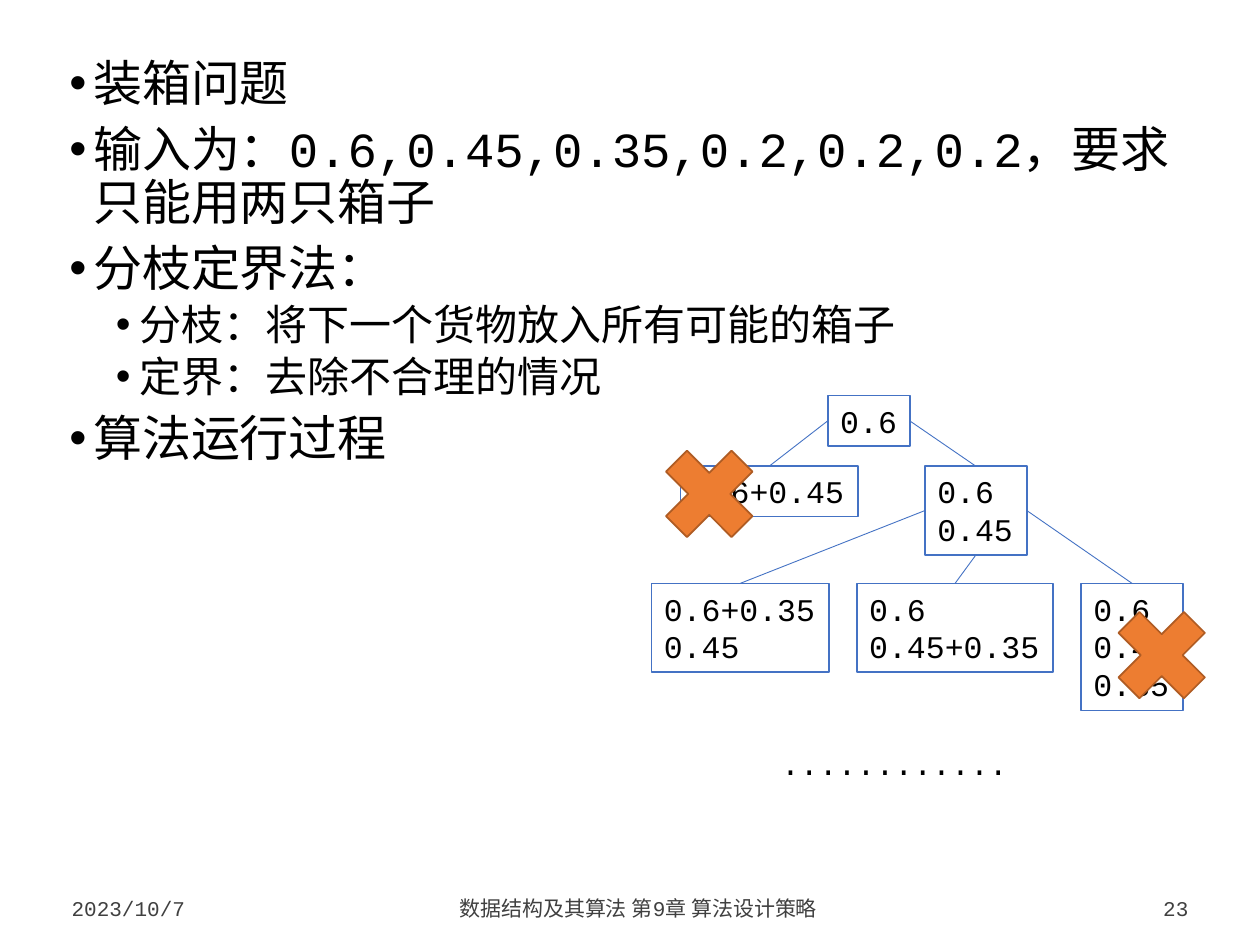
from pptx import Presentation
from pptx.dml.color import RGBColor
from pptx.enum.shapes import MSO_CONNECTOR, MSO_SHAPE
from pptx.enum.text import MSO_ANCHOR, MSO_AUTO_SIZE, PP_ALIGN
from pptx.oxml.ns import qn
from pptx.util import Inches, Pt
from lxml.etree import SubElement


def color(code):
    return RGBColor.from_string(code)


def write(para, text, size, code="000000"):
    para.text = text
    para.font.name = "Courier New"
    para.font.size = Pt(size)
    para.font.color.rgb = color(code)


deck = Presentation()
deck.slide_width, deck.slide_height = Inches(10), Inches(7.5)
slide = deck.slides.add_slide(deck.slide_layouts[6])
shapes = slide.shapes

# Bulleted text
points = [
    (0, "装箱问题"),
    (0, "输入为：0.6,0.45,0.35,0.2,0.2,0.2，要求只能用两只箱子"),
    (0, "分枝定界法："),
    (1, "分枝：将下一个货物放入所有可能的箱子"),
    (1, "定界：去除不合理的情况"),
    (0, "算法运行过程"),
]
body = shapes.add_textbox(Inches(0.47), Inches(0.39), Inches(9.06), Inches(6.42))
frame = body.text_frame
frame.word_wrap = True
frame.margin_left = frame.margin_right = Inches(0.08)
frame.margin_top = frame.margin_bottom = Inches(0.08)
for i, (level, text) in enumerate(points):
    para = frame.add_paragraph() if i else frame.paragraphs[0]
    write(para, text, 24 if level else 28)
    para.level = level
    para.line_spacing = 0.9
    para.space_before = Pt(3.8 if level else 7.5)
    props = para._p.get_or_add_pPr()
    props.set("marL", str(Inches(0.56 if level else 0.19)))
    props.set("indent", str(Inches(-0.19)))
    SubElement(props, qn("a:buFont"), typeface="Arial")
    SubElement(props, qn("a:buChar"), char="•")

# Footer
for left, width, align, text in [
    (0.47, 1.31, PP_ALIGN.LEFT, "2023/10/7"),
    (1.9, 6.33, PP_ALIGN.CENTER, "数据结构及其算法 第9章 算法设计策略"),
    (8.35, 1.18, PP_ALIGN.RIGHT, "23"),
]:
    foot = shapes.add_textbox(Inches(left), Inches(6.97), Inches(width), Inches(0.39))
    frame = foot.text_frame
    frame.word_wrap = True
    frame.vertical_anchor = MSO_ANCHOR.BOTTOM
    write(frame.paragraphs[0], text, 12, "404040")
    frame.paragraphs[0].alignment = align

# Search tree nodes, and the dots below them
nodes = []
for left, top, width, bins in [
    (6.57, 3.14, 0.65, ["0.6"]),
    (5.4, 3.7, 1.41, ["0.6+0.45"]),
    (7.34, 3.7, 0.81, ["0.6", "0.45"]),
    (5.17, 4.63, 1.41, ["0.6+0.35", "0.45"]),
    (6.8, 4.63, 1.56, ["0.6", "0.45+0.35"]),
    (8.58, 4.63, 0.81, ["0.6", "0.45", "0.35"]),
    (6.1, 5.86, 2.01, ["............"]),
]:
    height = 0.4 + 0.305 * (len(bins) - 1)
    node = shapes.add_textbox(Inches(left), Inches(top), Inches(width), Inches(height))
    frame = node.text_frame
    frame.word_wrap = False
    frame.auto_size = MSO_AUTO_SIZE.SHAPE_TO_FIT_TEXT
    for i, text in enumerate(bins):
        write(frame.add_paragraph() if i else frame.paragraphs[0], text, 18)
    nodes.append(node)
for node in nodes[:-1]:
    node.fill.solid()
    node.fill.fore_color.rgb = color("FFFFFF")
    node.line.color.rgb = color("4472C4")
    node.line.width = Pt(1)

# Branches: parent, side of the parent, child
LEFT, BOTTOM, RIGHT = 1, 2, 3
for start, side, end in [
    (0, LEFT, 1), (0, RIGHT, 2), (2, LEFT, 3), (2, BOTTOM, 4), (2, RIGHT, 5),
]:
    branch = shapes.add_connector(MSO_CONNECTOR.STRAIGHT, 0, 0, 0, 0)
    branch.begin_connect(nodes[start], side)
    branch.end_connect(nodes[end], 0)
    branch.line.color.rgb = color("4472C4")
    branch.line.width = Pt(0.5)
    SubElement(branch._element.spPr, qn("a:effectLst"))

# Crosses on the pruned nodes
for left, top in [(5.13, 3.42), (8.72, 4.7)]:
    cross = shapes.add_shape(MSO_SHAPE.MATH_MULTIPLY, Inches(left), Inches(top),
                             Inches(1), Inches(1))
    cross.shadow.inherit = False
    cross.fill.solid()
    cross.fill.fore_color.rgb = color("ED7D31")
    cross.line.color.rgb = color("AF5C24")
    cross.line.width = Pt(1)

deck.save("out.pptx")
